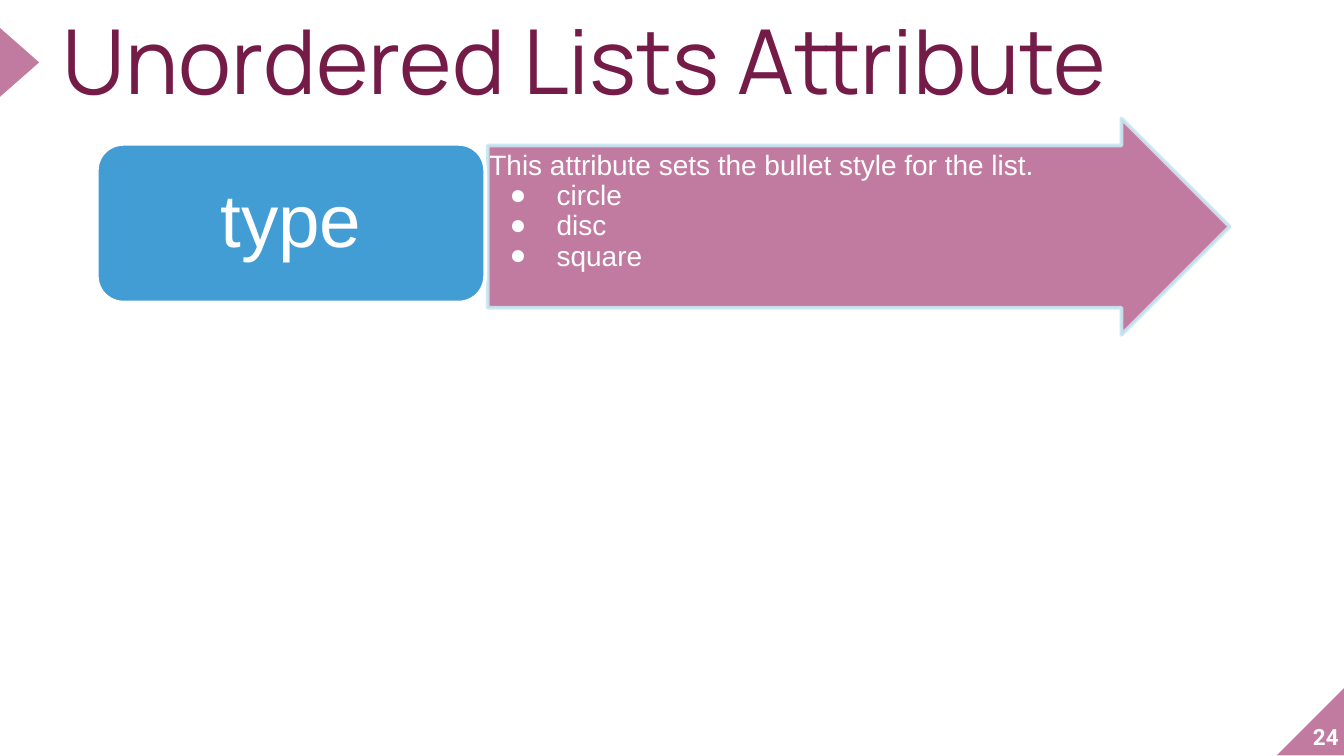
from lxml.etree import SubElement
from pptx import Presentation
from pptx.dml.color import RGBColor
from pptx.enum.shapes import MSO_SHAPE
from pptx.enum.text import MSO_ANCHOR, PP_ALIGN
from pptx.oxml.ns import qn
from pptx.util import Cm, Pt

WHITE = RGBColor(0xFF, 0xFF, 0xFF)
PINK = RGBColor(0xC2, 0x7B, 0xA0)
PLUM = RGBColor(0x74, 0x1B, 0x47)
BLUE = RGBColor(0x41, 0x9D, 0xD3)
PALE_BLUE = RGBColor(0xC8, 0xE5, 0xF2)


def add_box(s, kind, left, top, width, height, fill, line=None):
    sp = s.shapes.add_shape(kind, Cm(left), Cm(top), Cm(width), Cm(height))
    sp.shadow.inherit = False
    sp.fill.solid()
    sp.fill.fore_color.rgb = fill
    if line is None:
        sp.line.fill.background()
    else:
        sp.line.color.rgb = line
        sp.line.width = Pt(2)
    return sp


def set_frame(sp, anchor, inset=0):
    tf = sp.text_frame
    tf.word_wrap = True
    tf.vertical_anchor = anchor
    tf.margin_left = tf.margin_right = Cm(inset)
    tf.margin_top = tf.margin_bottom = Cm(inset)
    return tf


def add_text_box(s, left, top, width, height, anchor, inset=0):
    sp = s.shapes.add_textbox(Cm(left), Cm(top), Cm(width), Cm(height))
    return set_frame(sp, anchor, inset)


def write(p, text, size, font, color, align=PP_ALIGN.LEFT, spacing=0.9, bold=False):
    p.alignment = align
    p.line_spacing = spacing
    r = p.add_run()
    r.text = text
    r.font.size = Pt(size)
    r.font.name = font
    r.font.color.rgb = color
    r.font.bold = bold


def set_bullet(p):
    pPr = p._p.get_or_add_pPr()
    pPr.set("marL", str(Cm(1.27)))
    pPr.set("indent", str(Cm(-0.89)))
    color = SubElement(pPr, qn("a:buClr"))
    SubElement(color, qn("a:srgbClr"), val=str(WHITE))
    SubElement(pPr, qn("a:buFont"), typeface="Arial")
    SubElement(pPr, qn("a:buChar"), char="●")


def add_page_corner(s, number):
    corner = add_box(s, MSO_SHAPE.RIGHT_TRIANGLE, 24.13, 12.98, 1.3, 1.3, PINK)
    corner.rotation = 270
    tf = add_text_box(s, 24.03, 12.88, 1.27, 1.3, MSO_ANCHOR.BOTTOM)
    write(tf.paragraphs[0], number, 12, "Roboto", WHITE, PP_ALIGN.RIGHT, 1.0, True)


def add_title(s, text):
    marker = add_box(s, MSO_SHAPE.ISOSCELES_TRIANGLE, -0.28, 0.81, 1.3, 0.74, PINK)
    marker.rotation = 90
    tf = add_text_box(s, 1.19, 0.48, 21.23, 1.75, MSO_ANCHOR.TOP)
    write(tf.paragraphs[0], text, 48, "Manrope", PLUM, spacing=0.8)


def add_description_arrow(s, intro, values):
    arrow = add_box(s, MSO_SHAPE.RIGHT_ARROW, 9.22, 2.24, 14.02, 4.09, PINK, PALE_BLUE)
    arrow.adjustments[0] = 0.75
    arrow.adjustments[1] = 0.5
    line_color = arrow.line._ln.find(".//" + qn("a:srgbClr"))
    SubElement(line_color, qn("a:alpha"), val="89000")

    tf = add_text_box(s, 9.22, 2.87, 12.93, 2.26, MSO_ANCHOR.MIDDLE, 0.03)
    write(tf.paragraphs[0], intro, 15, "Arial", WHITE)
    for value in values:
        p = tf.add_paragraph()
        set_bullet(p)
        write(p, value, 15, "Arial", WHITE)


def add_attribute_name(s, name):
    label = add_box(s, MSO_SHAPE.ROUNDED_RECTANGLE, 1.83, 2.72, 7.34, 3, BLUE, WHITE)
    label.adjustments[0] = 0.167
    tf = set_frame(label, MSO_ANCHOR.MIDDLE, 0.28)
    write(tf.paragraphs[0], name, 40, "Arial", WHITE, PP_ALIGN.CENTER)


def main():
    prs = Presentation()
    prs.slide_width = Cm(25.4)
    prs.slide_height = Cm(14.29)
    s = prs.slides.add_slide(prs.slide_layouts[6])
    add_page_corner(s, "24")
    add_title(s, "Unordered Lists Attribute")
    add_description_arrow(
        s,
        "This attribute sets the bullet style for the list.",
        ["circle", "disc", "square"],
    )
    add_attribute_name(s, "type")
    prs.save("out.pptx")


if __name__ == "__main__":
    main()
